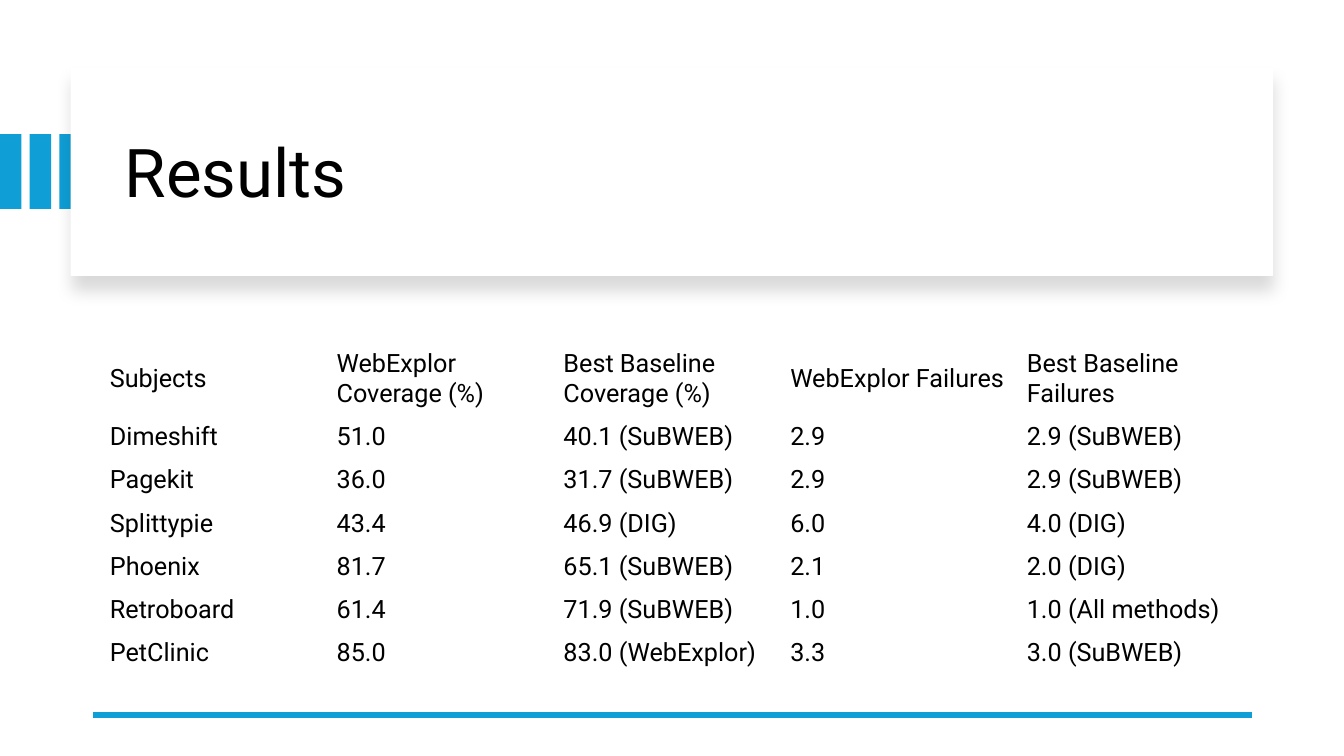
from dataclasses import dataclass

from lxml import etree
from pptx import Presentation
from pptx.dml.color import RGBColor
from pptx.enum.shapes import MSO_CONNECTOR, MSO_SHAPE
from pptx.enum.text import MSO_ANCHOR
from pptx.oxml.ns import qn
from pptx.util import Pt

RECTANGLE = MSO_SHAPE.RECTANGLE
STRAIGHT = MSO_CONNECTOR.STRAIGHT
MIDDLE = MSO_ANCHOR.MIDDLE

COLORS = {"accent": "0F9ED5", "card": "FFFFFF", "text": "000000", "shadow": "000000"}
FONT = "Roboto"


@dataclass(frozen=True)
class Panel:
    left: float
    top: float
    width: float
    height: float
    color: str


STRIPES = [Panel(21.24 * i, 95.9, 15.3, 53.3, "accent") for i in range(3)]
TITLE_CARD = Panel(50.5, 48.2, 858.8, 149, "card")

COLUMN_WIDTHS = [162, 162, 162, 169, 162]
HEADER_HEIGHT, ROW_HEIGHT = 52, 30.9
RESULTS = [
    ["Subjects", "WebExplor Coverage (%)", "Best Baseline Coverage (%)",
     "WebExplor Failures", "Best Baseline Failures"],
    ["Dimeshift", "51.0", "40.1 (SuBWEB)", "2.9", "2.9 (SuBWEB)"],
    ["Pagekit", "36.0", "31.7 (SuBWEB)", "2.9", "2.9 (SuBWEB)"],
    ["Splittypie", "43.4", "46.9 (DIG)", "6.0", "4.0 (DIG)"],
    ["Phoenix", "81.7", "65.1 (SuBWEB)", "2.1", "2.0 (DIG)"],
    ["Retroboard", "61.4", "71.9 (SuBWEB)", "1.0", "1.0 (All methods)"],
    ["PetClinic", "85.0", "83.0 (WebExplor)", "3.3", "3.0 (SuBWEB)"],
]


def rgb(name: str) -> RGBColor:
    return RGBColor.from_string(COLORS[name])


def draw_panel(slide, panel: Panel):
    shape = slide.shapes.add_shape(RECTANGLE, Pt(panel.left), Pt(panel.top),
                                   Pt(panel.width), Pt(panel.height))
    shape.shadow.inherit = False
    shape.fill.solid()
    shape.fill.fore_color.rgb = rgb(panel.color)
    shape.line.fill.background()
    return shape


def add_soft_shadow(shape) -> None:
    effects = shape._element.spPr.find(qn("a:effectLst"))
    shadow = etree.SubElement(effects, qn("a:outerShdw"), blurRad=str(Pt(11)),
                              dist=str(Pt(10)), dir="5400000", algn="t",
                              rotWithShape="0")
    color = etree.SubElement(shadow, qn("a:srgbClr"), val=COLORS["shadow"])
    etree.SubElement(color, qn("a:alpha"), val="15000")


def write_text(text_frame, text: str, size: float) -> None:
    text_frame.text = text
    text_frame.word_wrap = True
    font = text_frame.paragraphs[0].runs[0].font
    font.name = FONT
    font.size = Pt(size)
    font.color.rgb = rgb("text")


def draw_title(slide, text: str) -> None:
    title = slide.shapes.add_textbox(Pt(82.1), Pt(64.1), Pt(801.4), Pt(122.4))
    write_text(title.text_frame, text, 48)
    title.text_frame.vertical_anchor = MIDDLE
    title.text_frame.paragraphs[0].line_spacing = 0.9


def draw_footer_rule(slide) -> None:
    rule = slide.shapes.add_connector(STRAIGHT, Pt(894.2), Pt(510.5), Pt(66.2), Pt(510.5))
    rule.line.color.rgb = rgb("accent")
    rule.line.width = Pt(4.5)
    etree.SubElement(rule._element.spPr, qn("a:effectLst"))


def draw_results(slide) -> None:
    heights = [HEADER_HEIGHT] + [ROW_HEIGHT] * (len(RESULTS) - 1)
    table = slide.shapes.add_table(len(RESULTS), len(COLUMN_WIDTHS), Pt(71.3), Pt(244.8),
                                   Pt(sum(COLUMN_WIDTHS)), Pt(sum(heights))).table
    table.first_row = False
    table.horz_banding = False
    for column, width in zip(table.columns, COLUMN_WIDTHS):
        column.width = Pt(width)
    for row, height, values in zip(table.rows, heights, RESULTS):
        row.height = Pt(height)
        for cell, value in zip(row.cells, values):
            cell.fill.background()
            cell.vertical_anchor = MIDDLE
            write_text(cell.text_frame, value, 18)


def main() -> None:
    deck = Presentation()
    deck.slide_width, deck.slide_height = Pt(960), Pt(540)
    slide = deck.slides.add_slide(deck.slide_layouts[6])

    # Title banner: stripes run behind the card
    for stripe in STRIPES:
        draw_panel(slide, stripe)
    add_soft_shadow(draw_panel(slide, TITLE_CARD))
    draw_title(slide, "Results")

    # Results table and footer rule
    draw_footer_rule(slide)
    draw_results(slide)

    deck.save("out.pptx")


if __name__ == "__main__":
    main()
